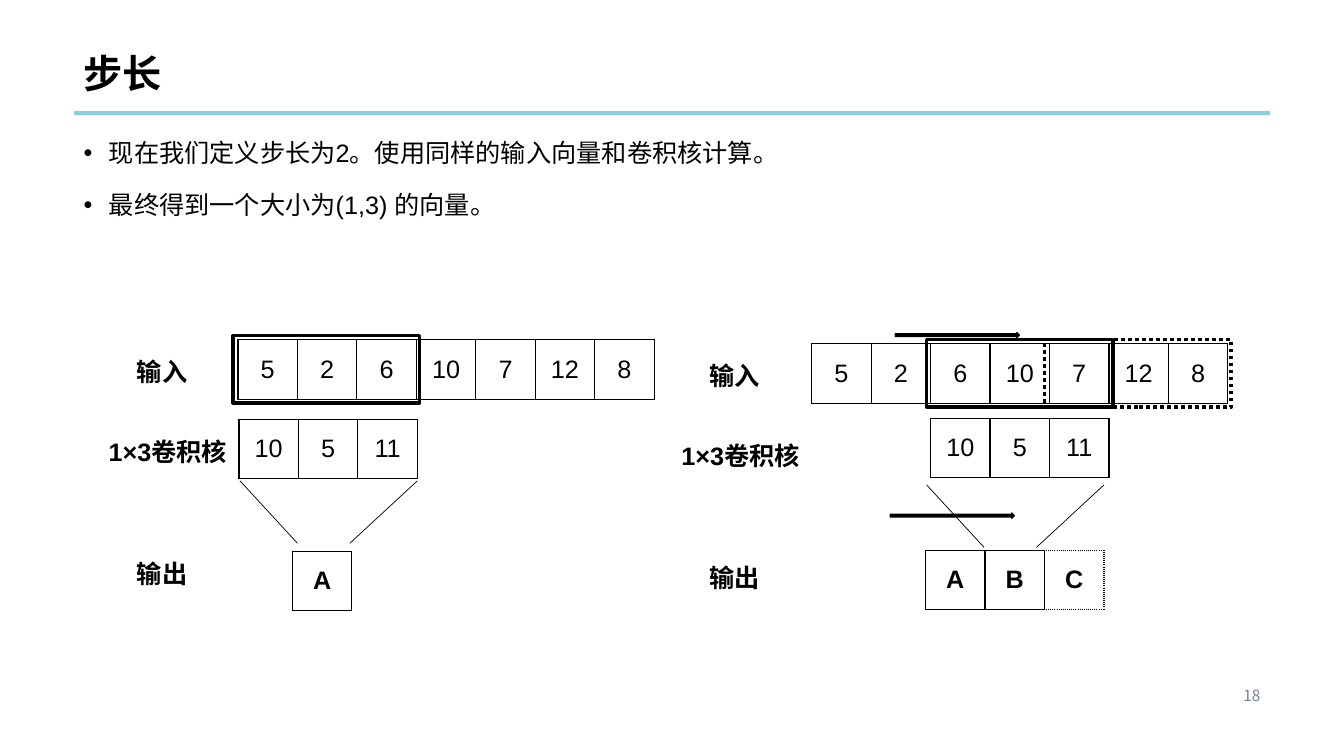
"""Build the slide on convolution stride."""
import lxml.etree
import pptx
import pptx.dml.color
import pptx.enum.dml
import pptx.enum.shapes
import pptx.enum.text
import pptx.oxml.ns
import pptx.util

Inches = pptx.util.Inches
Pt = pptx.util.Pt
RGBColor = pptx.dml.color.RGBColor
qn = pptx.oxml.ns.qn
Align = pptx.enum.text.PP_ALIGN
Anchor = pptx.enum.text.MSO_ANCHOR
Fit = pptx.enum.text.MSO_AUTO_SIZE
Shape = pptx.enum.shapes.MSO_SHAPE
Dash = pptx.enum.dml.MSO_LINE

BLACK = RGBColor(0x00, 0x00, 0x00)
TEAL = RGBColor(0x86, 0xD0, 0xDB)
GREY = RGBColor(0x76, 0x83, 0x94)
LATIN = "Arial"
CHINESE = "Noto Sans CJK SC"

TITLE = "步长"
BULLETS = [
    "现在我们定义步长为2。使用同样的输入向量和卷积核计算。",
    "最终得到一个大小为(1,3) 的向量。",
]
PAGE_NUMBER = "18"
INPUTS = ["5", "2", "6", "10", "7", "12", "8"]
KERNEL = ["10", "5", "11"]
LABELS = [("输入", 1.26, 3.49, 0.71), ("1×3卷积核", 0.98, 4.28, 1.43), ("输出", 1.26, 5.49, 0.71)]
FUNNEL = [((2.38, 4.77), (2.95, 5.39)), ((4.14, 4.77), (3.47, 5.39))]
PANELS = [
    {
        "label_shift": (0, 0),
        "funnel_shift": (0, 0),
        "rows": [(INPUTS, 2.36, 3.37, False), (KERNEL, 2.37, 4.16, False), (["A"], 2.9, 5.47, True)],
        "windows": [(2.31, 3.33, None)],
        "arrows": [],
    },
    {
        "label_shift": (5.68, 0.04),
        "funnel_shift": (6.81, 0.04),
        "rows": [(INPUTS, 8.05, 3.41, False), (KERNEL, 9.23, 4.15, False),
                 (["A", "B", "C"], 9.18, 5.46, True)],
        "windows": [(9.19, 3.37, None), (10.36, 3.37, Dash.ROUND_DOT)],
        "arrows": [(8.88, 3.3), (8.83, 5.09)],
    },
]
DOTTED_CELL = "C"
CELL = 0.59
WINDOW = (1.85, 0.67)
ARROW = (1.23, 0.05)


def write_text(para, text, size=18, bold=False, color=BLACK, font=LATIN, align=Align.LEFT):
    """Put formatted text into a paragraph."""
    para.alignment = align
    span = para.add_run()
    span.text = text
    span.font.size = Pt(size)
    span.font.bold = bold
    span.font.color.rgb = color
    span.font.name = font
    lxml.etree.SubElement(span.font._element, qn("a:ea"), typeface=CHINESE)


def place(shape, left, top, width, height):
    """Move and size a shape in inches."""
    shape.left, shape.top = Inches(left), Inches(top)
    shape.width, shape.height = Inches(width), Inches(height)


def add_line(page, start, end, color, width):
    """Draw a straight line without a shadow."""
    line = page.shapes.add_connector(
        pptx.enum.shapes.MSO_CONNECTOR.STRAIGHT, *map(Inches, (*start, *end)))
    line.line.color.rgb = color
    line.line.width = Pt(width)
    lxml.etree.SubElement(line._element.spPr, qn("a:effectLst"))


def add_border(cell, sides, dash):
    """Give the cell a one-point black border."""
    properties = cell._tc.get_or_add_tcPr()
    for index, side in enumerate(sides):
        edge = lxml.etree.Element(qn("a:ln" + side), w=str(Pt(1)))
        fill = lxml.etree.SubElement(edge, qn("a:solidFill"))
        lxml.etree.SubElement(fill, qn("a:srgbClr"), val=str(BLACK))
        style = "sysDot" if dash and side != "L" else "solid"
        lxml.etree.SubElement(edge, qn("a:prstDash"), val=style)
        properties.insert(index, edge)


def add_cells(page, values, left, top, bold):
    """Add a one-row table of square cells."""
    frame = page.shapes.add_table(
        1, len(values), *map(Inches, (left, top, CELL * len(values), CELL)))
    table = frame.table
    table.first_row = table.horz_banding = False
    table.rows[0].height = Inches(CELL)
    for index, value in enumerate(values):
        table.columns[index].width = Inches(CELL)
        cell = table.cell(0, index)
        cell.fill.background()
        cell.vertical_anchor = Anchor.MIDDLE
        add_border(cell, "LRTB", value == DOTTED_CELL)
        write_text(cell.text_frame.paragraphs[0], value, bold=bold, align=Align.CENTER)


def add_label(page, text, left, top, width):
    """Add a bold label on one line."""
    box = page.shapes.add_textbox(*map(Inches, (left, top, width, 0.4)))
    box.text_frame.word_wrap = False
    box.text_frame.auto_size = Fit.SHAPE_TO_FIT_TEXT
    write_text(box.text_frame.paragraphs[0], text, bold=True)


def add_block(page, kind, left, top, size, width, dash=None, filled=False):
    """Add an outlined preset shape."""
    shape = page.shapes.add_shape(kind, *map(Inches, (left, top, *size)))
    shape.shadow.inherit = False
    if filled:
        shape.fill.solid()
        shape.fill.fore_color.rgb = BLACK
    else:
        shape.fill.background()
    shape.line.color.rgb = BLACK
    shape.line.width = Pt(width)
    if dash:
        shape.line.dash_style = dash


def add_header(page):
    """Fill the title, the bullets and the page number."""
    title, body = page.shapes.title, page.placeholders[1]
    place(title, 0.73, 0, 11.87, 1.01)
    title.text_frame.auto_size = Fit.NONE
    title.text_frame.vertical_anchor = Anchor.BOTTOM
    title.text_frame.paragraphs[0].line_spacing = 0.9
    write_text(title.text_frame.paragraphs[0], TITLE, size=28, bold=True)
    add_line(page, (0.73, 1.12), (12.6, 1.12), TEAL, 3)

    place(body, 0.73, 1.24, 11.87, 5.48)
    body.text_frame.auto_size = Fit.NONE
    for index, text in enumerate(BULLETS):
        para = body.text_frame.add_paragraph() if index else body.text_frame.paragraphs[0]
        para.line_spacing = 1.25
        para.space_before = Pt(10 if index else 0)
        properties = para._p.get_or_add_pPr()
        properties.set("marL", str(Inches(0.25)))
        properties.set("indent", str(-Inches(0.25)))
        lxml.etree.SubElement(properties, qn("a:buFont"), typeface=LATIN)
        lxml.etree.SubElement(properties, qn("a:buChar"), char="•")
        write_text(para, text)

    box = page.shapes.add_textbox(*map(Inches, (10.96, 6.76, 1.64, 0.29)))
    box.text_frame.word_wrap = True
    write_text(box.text_frame.paragraphs[0], PAGE_NUMBER, size=11, color=GREY,
               font=CHINESE, align=Align.RIGHT)


def add_panel(page, panel):
    """Draw one step of the convolution."""
    for row in panel["rows"]:
        add_cells(page, *row)
    across, down = panel["label_shift"]
    for text, left, top, width in LABELS:
        add_label(page, text, left + across, top + down, width)
    across, down = panel["funnel_shift"]
    for ends in FUNNEL:
        start, end = [(x + across, y + down) for x, y in ends]
        add_line(page, start, end, BLACK, 0.5)
    for left, top, dash in panel["windows"]:
        add_block(page, Shape.RECTANGLE, left, top, WINDOW, 2.5, dash=dash)
    for left, top in panel["arrows"]:
        add_block(page, Shape.RIGHT_ARROW, left, top, ARROW, 1, filled=True)


def main():
    """Build and save the deck."""
    deck = pptx.Presentation()
    deck.slide_width, deck.slide_height = Inches(13.33), Inches(7.5)
    page = deck.slides.add_slide(deck.slide_layouts[1])
    add_header(page)
    for panel in PANELS:
        add_panel(page, panel)
    deck.save("out.pptx")


if __name__ == "__main__":
    main()
